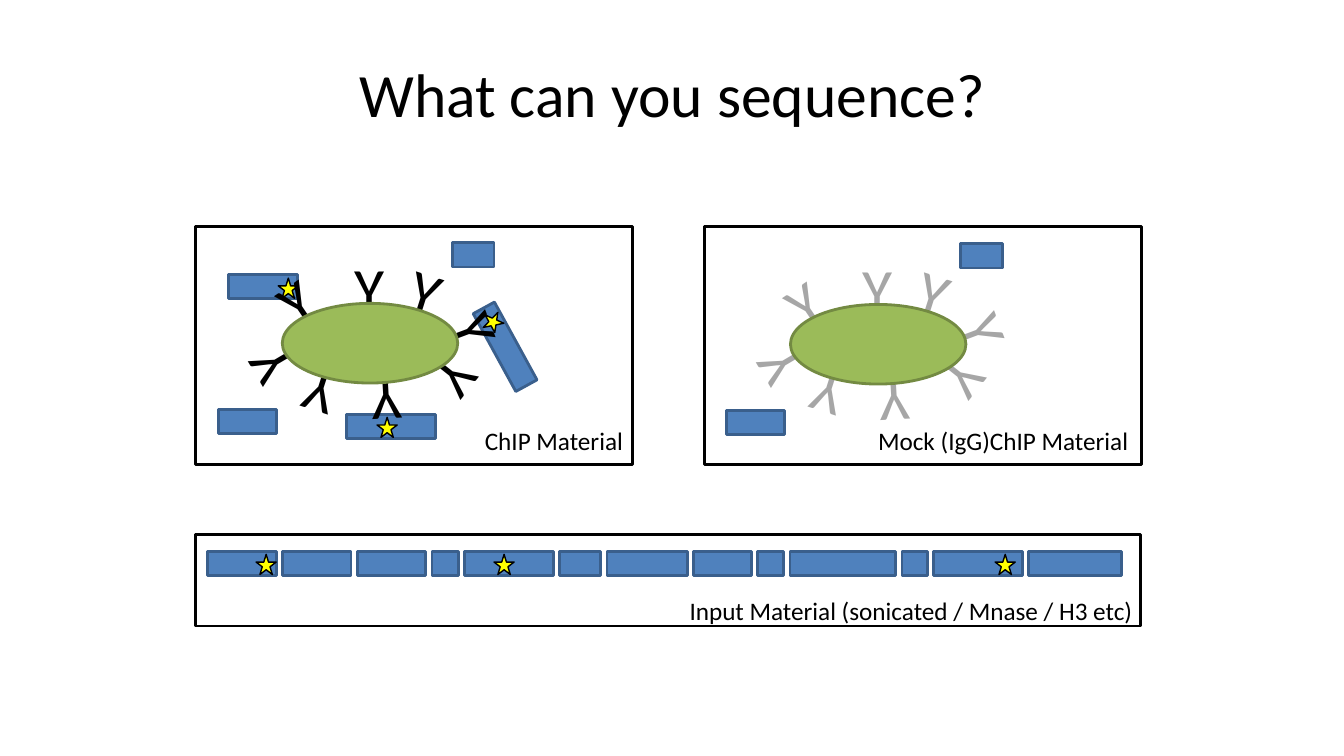
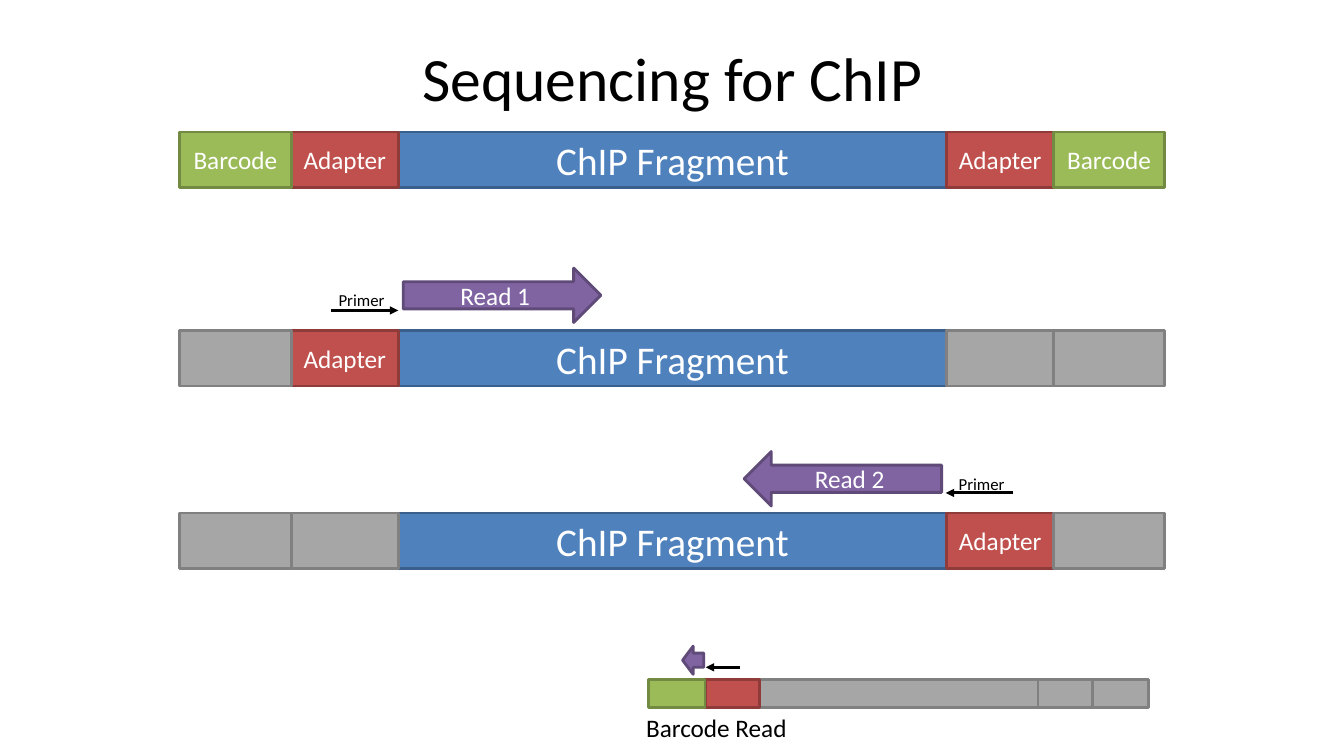
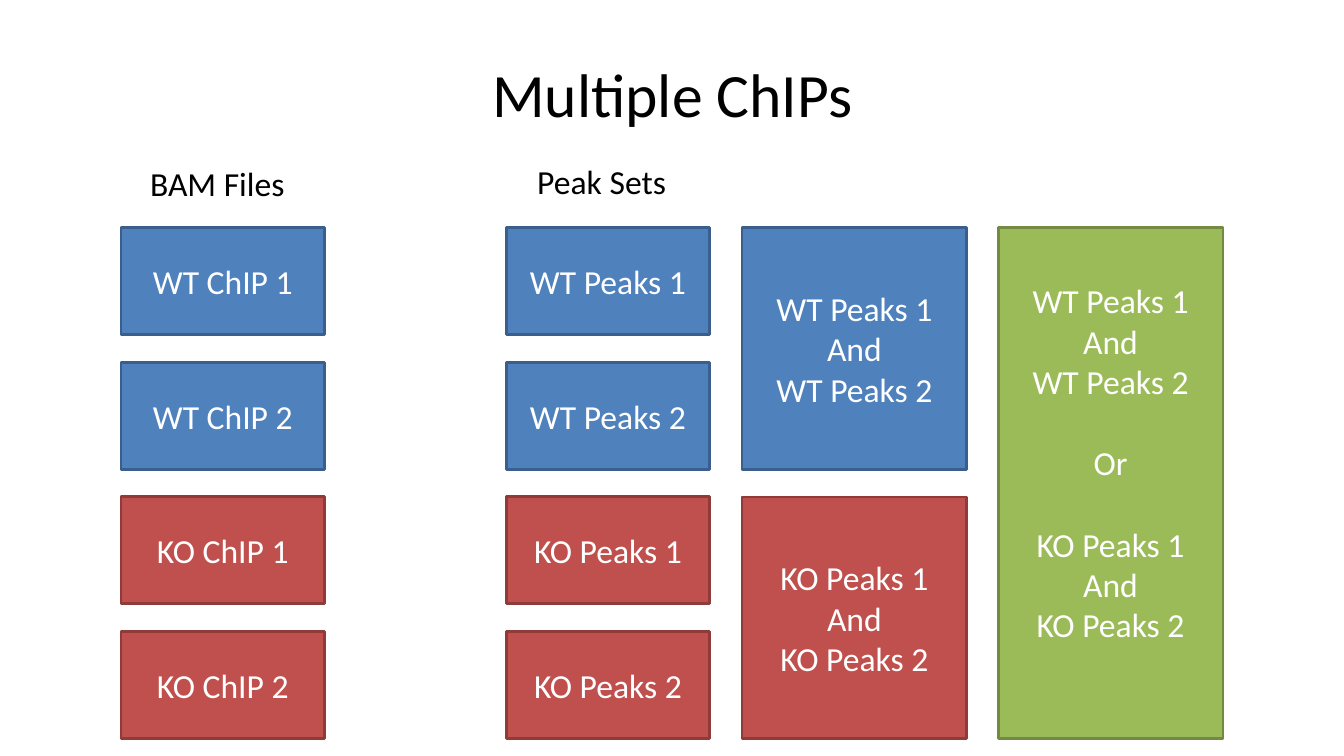
from lxml import etree
from pptx import Presentation
from pptx.dml.color import RGBColor
from pptx.enum.shapes import MSO_CONNECTOR, MSO_SHAPE
from pptx.enum.text import MSO_ANCHOR, MSO_AUTO_SIZE, PP_ALIGN
from pptx.oxml.ns import qn
from pptx.util import Inches, Pt

RECT = MSO_SHAPE.RECTANGLE
OVAL = MSO_SHAPE.OVAL
STAR = MSO_SHAPE.STAR_5_POINT
RIGHT_ARROW = MSO_SHAPE.RIGHT_ARROW
LEFT_ARROW = MSO_SHAPE.LEFT_ARROW
STRAIGHT = MSO_CONNECTOR.STRAIGHT
MIDDLE, TOP = MSO_ANCHOR.MIDDLE, MSO_ANCHOR.TOP
CENTER, LEFT = PP_ALIGN.CENTER, PP_ALIGN.LEFT

FONT = "Calibri"
BLACK = RGBColor(0x00, 0x00, 0x00)
WHITE = RGBColor(0xFF, 0xFF, 0xFF)
SILVER = RGBColor(0xA6, 0xA6, 0xA6)

# Each style is a fill colour and a line colour
BLUE = (RGBColor(0x4F, 0x81, 0xBD), RGBColor(0x3A, 0x5F, 0x8C))
RED = (RGBColor(0xC0, 0x50, 0x4D), RGBColor(0x8E, 0x3B, 0x39))
GREEN = (RGBColor(0x9B, 0xBB, 0x59), RGBColor(0x73, 0x8A, 0x42))
PURPLE = (RGBColor(0x80, 0x64, 0xA2), RGBColor(0x5F, 0x4A, 0x78))
GRAY = (SILVER, RGBColor(0x80, 0x80, 0x80))
YELLOW = (RGBColor(0xFF, 0xFF, 0x00), BLACK)
FRAME = (WHITE, BLACK)

FRAGMENT_H = 0.24
STAR_SIZE = 0.2
# Left, top and rotation of the antibodies around the first bead
ANTIBODIES = [
    (3.42, 2.43, 0), (3.98, 2.47, 17.6), (4.48, 2.85, 69.4), (4.29, 3.35, 128.4),
    (3.58, 3.58, 176.9), (2.91, 3.51, 197.8), (2.42, 3.22, 239.4), (2.68, 2.57, 326),
]
INPUT_LEFT, INPUT_RIGHT = 2.06, 11.12
INPUT_WIDTHS = [0.68, 0.68, 0.68, 0.26, 0.88, 0.41, 0.8,
                0.57, 0.26, 1.05, 0.25, 0.88, 0.92]

STRAND_LEFT, STRAND_H = 1.78, 0.55
STRAND_WIDTHS = [1.11, 1.06, 5.44, 1.06, 1.1]
STRAND_DRAW_ORDER = [2, 1, 0, 3, 4]
BARCODE = ("Barcode", GREEN, 18)
ADAPTER = ("Adapter", RED, 18)
FRAGMENT = ("ChIP Fragment", BLUE, 28)
UNREAD = ("", GRAY, 18)

ROW_TOP, ROW_PITCH, CARD_H = 2.26, 1.335, 1.06


def write(tf, text, size=18, color=BLACK, align=LEFT, anchor=TOP):
    """Fill a text frame, one paragraph for each line of text."""
    tf.vertical_anchor = anchor
    for i, line in enumerate(text.split("\n")):
        p = tf.paragraphs[0] if i == 0 else tf.add_paragraph()
        p.alignment = align
        r = p.add_run()
        r.text = line
        r.font.name = FONT
        r.font.size = Pt(size)
        r.font.color.rgb = color


def add_slide(prs, title, left=0.67, top=0.3, width=12):
    s = prs.slides.add_slide(prs.slide_layouts[5])
    sp = s.shapes.title
    sp.left, sp.top = Inches(left), Inches(top)
    sp.width, sp.height = Inches(width), Inches(1.25)
    write(sp.text_frame, title, size=44, align=CENTER, anchor=MIDDLE)
    return s


def add_box(s, left, top, width, height, style, text="", size=18,
            kind=RECT, rotation=0, line_width=2):
    sp = s.shapes.add_shape(kind, Inches(left), Inches(top), Inches(width), Inches(height))
    sp.rotation = rotation
    sp.shadow.inherit = False
    fill, line = style
    sp.fill.solid()
    sp.fill.fore_color.rgb = fill
    sp.line.color.rgb = line
    sp.line.width = Pt(line_width)
    if text:
        write(sp.text_frame, text, size=size, color=WHITE, align=CENTER, anchor=MIDDLE)
    return sp


def add_label(s, left, top, width, height, text, rotation=0, **fmt):
    sp = s.shapes.add_textbox(Inches(left), Inches(top), Inches(width), Inches(height))
    sp.rotation = rotation
    tf = sp.text_frame
    tf.word_wrap = False
    tf.auto_size = MSO_AUTO_SIZE.SHAPE_TO_FIT_TEXT
    write(tf, text, **fmt)


def add_arrow(s, x1, x2, y):
    """Draw a horizontal primer arrow from x1 to x2."""
    c = s.shapes.add_connector(STRAIGHT, Inches(x1), Inches(y), Inches(x2), Inches(y))
    c.line.color.rgb = BLACK
    c.line.width = Pt(2)
    etree.SubElement(c.line._get_or_add_ln(), qn("a:tailEnd"), type="triangle")
    etree.SubElement(c._element.spPr, qn("a:effectLst"))


def add_fragment(s, left, top, width, rotation=0):
    add_box(s, left, top, width, FRAGMENT_H, BLUE, rotation=rotation)


def add_star(s, left, top, rotation=0):
    add_box(s, left, top, STAR_SIZE, STAR_SIZE, YELLOW, kind=STAR,
            rotation=rotation, line_width=1)


def add_bead(s, color, dx=0, dy=0):
    """Draw a bead with its antibodies and two unbound fragments."""
    for left, top, rotation in ANTIBODIES:
        add_label(s, left + dx, top + dy, 0.5, 0.84, "Y", rotation=rotation,
                  size=44, color=color)
    add_box(s, 2.8 + dx, 3.01 + dy, 1.74, 0.79, GREEN, kind=OVAL)
    add_fragment(s, 4.49 + dx, 2.41 + dy, 0.41)
    add_fragment(s, 2.17 + dx, 4.06 + dy, 0.57)


def add_strand(s, top, segments, left=STRAND_LEFT, scale=1):
    for i in STRAND_DRAW_ORDER:
        text, style, size = segments[i]
        add_box(s, left + scale * sum(STRAND_WIDTHS[:i]), top,
                scale * STRAND_WIDTHS[i], scale * STRAND_H, style, text, size)


def add_card(s, left, width, first_row, rows, style, text):
    """Draw a card that spans a number of rows of the grid."""
    return add_box(s, left, ROW_TOP + first_row * ROW_PITCH, width,
                   (rows - 1) * ROW_PITCH + CARD_H, style, text, size=24)


def build_materials(prs):
    s = add_slide(prs, "What can you sequence?")
    for left, top, width, height in [(1.94, 5.3, 9.37, 0.91), (1.94, 2.25, 4.33, 2.36),
                                     (6.99, 2.25, 4.33, 2.36)]:
        add_box(s, left, top, width, height, FRAME)
    add_label(s, 6.74, 5.86, 4.65, 0.4, "Input Material (sonicated / Mnase / H3 etc)")
    add_label(s, 4.71, 4.17, 1.59, 0.4, "ChIP Material")
    add_label(s, 8.61, 4.17, 2.71, 0.4, "Mock (IgG)ChIP Material")

    add_fragment(s, 3.44, 4.11, 0.88)
    add_star(s, 3.74, 4.14)
    add_fragment(s, 2.27, 2.72, 0.68)
    add_star(s, 2.76, 2.76)
    add_fragment(s, 4.57, 3.32, 0.88, rotation=241.3)
    add_star(s, 4.78, 3.1, rotation=241.3)
    add_bead(s, BLACK)
    add_bead(s, SILVER, dx=5.04, dy=0.01)

    gap = (INPUT_RIGHT - INPUT_LEFT - sum(INPUT_WIDTHS)) / (len(INPUT_WIDTHS) - 1)
    left = INPUT_LEFT
    for width in INPUT_WIDTHS:
        add_fragment(s, left, 5.47, width)
        left += width + gap
    for left in (2.54, 4.9, 9.87):
        add_star(s, left, 5.5)


def build_reads(prs):
    s = add_slide(prs, "Sequencing for ChIP", left=2.17, top=0.14, width=9)
    add_strand(s, 1.31, [BARCODE, ADAPTER, FRAGMENT, ADAPTER, BARCODE])

    add_strand(s, 3.28, [UNREAD, ADAPTER, FRAGMENT, UNREAD, UNREAD])
    add_arrow(s, 3.28, 3.95, 3.08)
    add_label(s, 3.26, 2.83, 0.66, 0.3, "Primer", size=12)
    add_box(s, 4, 2.66, 1.96, 0.54, PURPLE, "Read 1", kind=RIGHT_ARROW)

    add_strand(s, 5.09, [UNREAD, UNREAD, FRAGMENT, ADAPTER, UNREAD])
    add_arrow(s, 10.05, 9.38, 4.89)
    add_label(s, 9.41, 4.65, 0.66, 0.3, "Primer", size=12)
    add_box(s, 7.38, 4.48, 1.96, 0.54, PURPLE, "Read 2", kind=LEFT_ARROW)

    add_strand(s, 6.74, [("", GREEN, 18), ("", RED, 18), UNREAD, UNREAD, UNREAD],
               left=6.43, scale=0.508)
    add_arrow(s, 7.34, 7, 6.62)
    add_box(s, 6.77, 6.41, 0.21, 0.28, PURPLE, kind=LEFT_ARROW)
    add_label(s, 6.31, 7.02, 1.67, 0.4, "Barcode Read")


def build_peak_sets(prs):
    s = add_slide(prs, "Multiple ChIPs")
    add_label(s, 1.39, 1.57, 1.55, 0.5, "BAM Files", size=24)
    add_label(s, 5.23, 1.55, 1.49, 0.5, "Peak Sets", size=24)
    overlaps = []
    for group, (sample, style) in enumerate([("WT", BLUE), ("KO", RED)]):
        first_row = 2 * group
        for left, noun in [(1.2, "ChIP"), (5.02, "Peaks")]:
            for i in range(2):
                add_card(s, left, 2.02, first_row + i, 1, style, f"{sample} {noun} {i + 1}")
        overlap = f"{sample} Peaks 1\nAnd\n{sample} Peaks 2"
        add_card(s, 7.36, 2.23, first_row, 2, style, overlap)
        overlaps.append(overlap)

    union = add_card(s, 9.9, 2.23, 0, 4, GREEN, "\nOr\n".join(overlaps))
    tf = union.text_frame
    tf.margin_bottom = Inches(0.46)
    either = tf.paragraphs[3]
    either.space_before = either.space_after = Pt(29.3)


def main():
    prs = Presentation()
    prs.slide_width, prs.slide_height = Inches(13.33), Inches(7.5)
    build_materials(prs)
    build_reads(prs)
    build_peak_sets(prs)
    prs.save("out.pptx")


if __name__ == "__main__":
    main()
